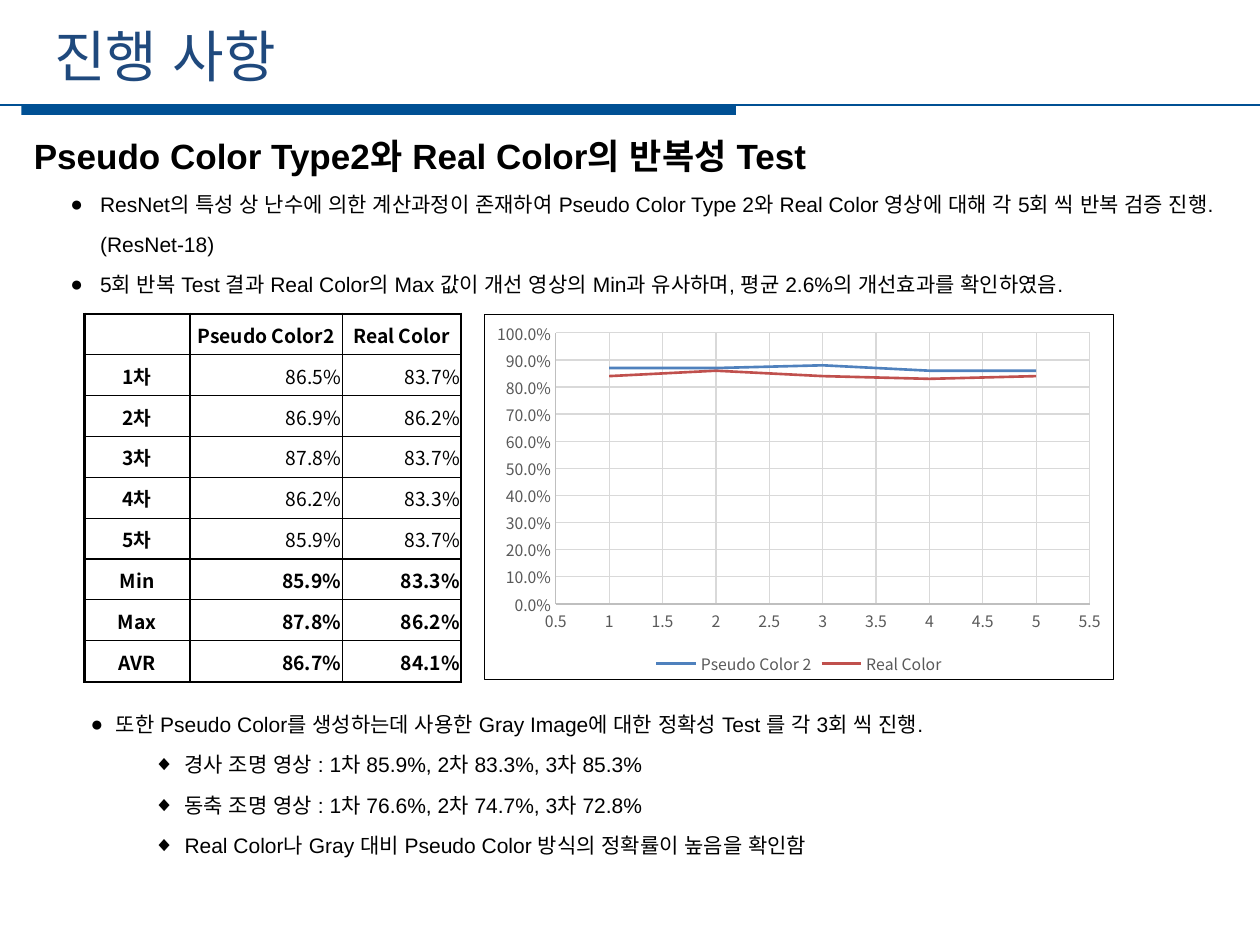
from lxml.etree import SubElement
from pptx import Presentation
from pptx.chart.data import XyChartData
from pptx.dml.color import RGBColor
from pptx.enum.chart import XL_CHART_TYPE, XL_LEGEND_POSITION, XL_TICK_MARK
from pptx.enum.shapes import MSO_CONNECTOR, MSO_SHAPE
from pptx.enum.text import MSO_ANCHOR, PP_ALIGN
from pptx.oxml import parse_xml
from pptx.oxml.ns import nsdecls, qn
from pptx.util import Inches, Pt

COLORS = {"brand": "005094", "title": "1F497D", "text": "000000", "muted": "595959",
          "axis": "BFBFBF", "grid": "D9D9D9", "pseudo": "4F81BD", "real": "C0504D"}
KOREAN, LATIN = "Noto Sans CJK KR", "Arial"
COLUMNS, ROWS = 100, 75
WIDTH, HEIGHT = Inches(10), Inches(7.5)

# Accuracy of each round
PSEUDO = [0.865, 0.869, 0.878, 0.862, 0.859]
REAL = [0.837, 0.862, 0.837, 0.833, 0.837]
SUMMARY = [("Min", 0.859, 0.833), ("Max", 0.878, 0.862), ("AVR", 0.867, 0.841)]


def columns(count):
    return round(WIDTH * count / COLUMNS)


def rows(count):
    return round(HEIGHT * count / ROWS)


def place(box):
    """Turn (column, row, columns, rows) into slide lengths."""
    left, top, width, height = box
    return columns(left), rows(top), columns(width), rows(height)


def color(name):
    return RGBColor.from_string(COLORS[name])


def format_font(font, size, color_name="text", name=KOREAN, bold=False):
    font.size, font.name, font.bold = Pt(size), name, bold
    font.color.rgb = color(color_name)


def format_line(line, color_name, width):
    line.color.rgb = color(color_name)
    line.width = Pt(width)


def write(paragraph, text, *, size, color_name="text", font=KOREAN, east_asian=LATIN,
          bold=False, align=PP_ALIGN.LEFT, spacing=None, bullet=None, margin=0, hanging=0):
    properties = paragraph._p.get_or_add_pPr()
    if bullet:
        properties.set("marL", str(columns(margin)))
        properties.set("indent", str(-columns(hanging)))
        SubElement(properties, qn("a:buFont"), typeface=LATIN)
        SubElement(properties, qn("a:buChar"), char=bullet)
    paragraph.alignment = align
    if spacing:
        paragraph.line_spacing = Pt(spacing)
    run = paragraph.add_run()
    run.text = text
    format_font(run.font, size, color_name, font, bold)
    SubElement(run._r.get_or_add_rPr(), qn("a:ea"), typeface=east_asian)


def add_header(slide, box, text):
    left, top, width, height = place(box)
    # Thick bar and full-width rule
    rule_y = top + height
    bar = slide.shapes.add_shape(MSO_SHAPE.RECTANGLE, left + round(width * 0.017), rule_y,
                                 round(width * 0.567), rows(0.8))
    bar.shadow.inherit = False
    bar.fill.solid()
    bar.fill.fore_color.rgb = color("brand")
    bar.line.fill.background()
    rule = slide.shapes.add_connector(MSO_CONNECTOR.STRAIGHT, left, rule_y, left + width, rule_y)
    format_line(rule.line, "brand", 1.25)
    SubElement(rule._element.spPr, qn("a:effectLst"))

    # Title
    title = slide.shapes.title
    title.left, title.top = left + columns(3.3), top + rows(1.2)
    title.width, title.height = columns(89.6), rows(6.4)
    title.text_frame.vertical_anchor = MSO_ANCHOR.MIDDLE
    write(title.text_frame.paragraphs[0], text, size=32, color_name="title")


def add_text_block(slide, box, lines):
    frame = slide.shapes.add_textbox(*place(box)).text_frame
    frame.word_wrap = True
    for index, (text, style) in enumerate(lines):
        paragraph = frame.add_paragraph() if index else frame.paragraphs[0]
        paragraph.level = style.get("level", 0)
        options = {key: value for key, value in style.items() if key != "level"}
        write(paragraph, text, font=LATIN, spacing=23, **options)


def set_borders(cell, widths):
    properties = cell._tc.get_or_add_tcPr()
    for index, (side, width) in enumerate(widths.items()):
        border = parse_xml(
            f'<a:{side} {nsdecls("a")} w="{Pt(width)}"><a:solidFill>'
            f'<a:srgbClr val="{COLORS["text"]}"/></a:solidFill></a:{side}>')
        properties.insert(index, border)


def add_results_table(slide, box):
    rounds = [(f"{number}차", *pair) for number, pair in enumerate(zip(PSEUDO, REAL), 1)]
    data = [("", "Pseudo Color2", "Real Color"), *rounds, *SUMMARY]
    left, top, width, height = place(box)
    table = slide.shapes.add_table(len(data), 3, left, top, width, height).table
    for column, share in zip(table.columns, (0.28, 0.405, 0.315)):
        column.width = round(width * share)

    # Line widths by edge: frame, header and group edges, inner grid
    across = {0: 1.5, 1: 1, len(rounds) + 1: 1, len(data): 1.5}
    down = {0: 1.5, 1: 1, 3: 1.5}
    for r, record in enumerate(data):
        table.rows[r].height = round(height / len(data))
        for c, value in enumerate(record):
            cell = table.cell(r, c)
            cell.fill.background()
            cell.vertical_anchor = MSO_ANCHOR.MIDDLE
            cell.margin_left = cell.margin_right = cell.margin_top = Inches(0.01)
            cell.margin_bottom = 0
            label = isinstance(value, str)
            write(cell.text_frame.paragraphs[0], value if label else f"{value:.1%}", size=11,
                  east_asian=KOREAN, bold=label or r > len(rounds),
                  align=PP_ALIGN.CENTER if label else PP_ALIGN.RIGHT)
            set_borders(cell, {"lnL": down.get(c, 0.5), "lnR": down.get(c + 1, 0.5),
                               "lnT": across.get(r, 0.5), "lnB": across.get(r + 1, 0.5)})


def format_axis(axis, low, high, step, number_format):
    axis.minimum_scale, axis.maximum_scale, axis.major_unit = low, high, step
    axis.major_tick_mark = axis.minor_tick_mark = XL_TICK_MARK.NONE
    axis.has_major_gridlines = True
    format_line(axis.major_gridlines.format.line, "grid", 0.75)
    format_line(axis.format.line, "axis", 0.75)
    axis.tick_labels.number_format = number_format
    axis.tick_labels.number_format_is_linked = False
    format_font(axis.tick_labels.font, 9, "muted")


def add_accuracy_chart(slide, box):
    data = XyChartData(number_format="0.0%")
    for name, values in (("Pseudo Color 2", PSEUDO), ("Real Color", REAL)):
        series = data.add_series(name)
        for number, value in enumerate(values, 1):
            series.add_data_point(number, round(value + 0.0001, 2))
    chart = slide.shapes.add_chart(XL_CHART_TYPE.XY_SCATTER_LINES_NO_MARKERS,
                                   *place(box), data).chart
    format_font(chart.font, 10)
    chart.has_title = False
    chart.plots[0].vary_by_categories = False
    for series, color_name in zip(chart.plots[0].series, ("pseudo", "real")):
        series.smooth = False
        format_line(series.format.line, color_name, 1.5)
    format_axis(chart.category_axis, 0.5, 5.5, 0.5, "General")
    format_axis(chart.value_axis, 0, 1, 0.1, "0.0%")
    chart.has_legend = True
    chart.legend.position = XL_LEGEND_POSITION.BOTTOM
    chart.legend.include_in_layout = False
    format_font(chart.legend.font, 9, "muted")

    # Frame around the chart
    chart._chartSpace.find(qn("c:chart")).addnext(parse_xml(
        f'<c:spPr {nsdecls("c", "a")}><a:noFill/><a:ln w="{Pt(0.75)}"><a:solidFill>'
        f'<a:srgbClr val="{COLORS["text"]}"/></a:solidFill></a:ln></c:spPr>'))


def main():
    presentation = Presentation()
    presentation.slide_width, presentation.slide_height = WIDTH, HEIGHT
    slide = presentation.slides.add_slide(presentation.slide_layouts[5])
    heading = {"size": 20, "bold": True}
    point = {"size": 12, "bullet": "●", "margin": 4.8, "hanging": 1.9}
    detail = {"size": 12, "bullet": "◆", "margin": 9.9, "hanging": 2, "level": 1}

    add_header(slide, (0, 0, 100, 8.33), "진행 사항")
    add_text_block(slide, (1.7, 10.3, 95.2, 13.5), [
        ("Pseudo Color Type2와 Real Color의 반복성 Test", heading),
        (" ResNet의 특성 상 난수에 의한 계산과정이 존재하여 Pseudo Color Type 2와 Real Color "
         "영상에 대해 각 5회 씩 반복 검증 진행. (ResNet-18)", point),
        (" 5회 반복 Test 결과 Real Color의 Max 값이 개선 영상의 Min과 유사하며, "
         "평균 2.6%의 개선효과를 확인하였음.", point)])
    add_results_table(slide, (6.7, 24.9, 29.9, 29.2))
    add_accuracy_chart(slide, (38.4, 24.9, 50, 29.1))
    add_text_block(slide, (3.3, 54.8, 95.2, 13.5), [
        ("또한 Pseudo Color를 생성하는데 사용한 Gray Image에 대한 정확성 Test 를 각 3회 씩 진행.",
         {**point, "margin": 4.9, "hanging": 2}),
        (" 경사 조명 영상 : 1차 85.9%, 2차 83.3%, 3차 85.3%", detail),
        (" 동축 조명 영상 : 1차 76.6%, 2차 74.7%, 3차 72.8%", detail),
        (" Real Color나 Gray 대비 Pseudo Color 방식의 정확률이 높음을 확인함", detail)])
    presentation.save("out.pptx")


if __name__ == "__main__":
    main()
